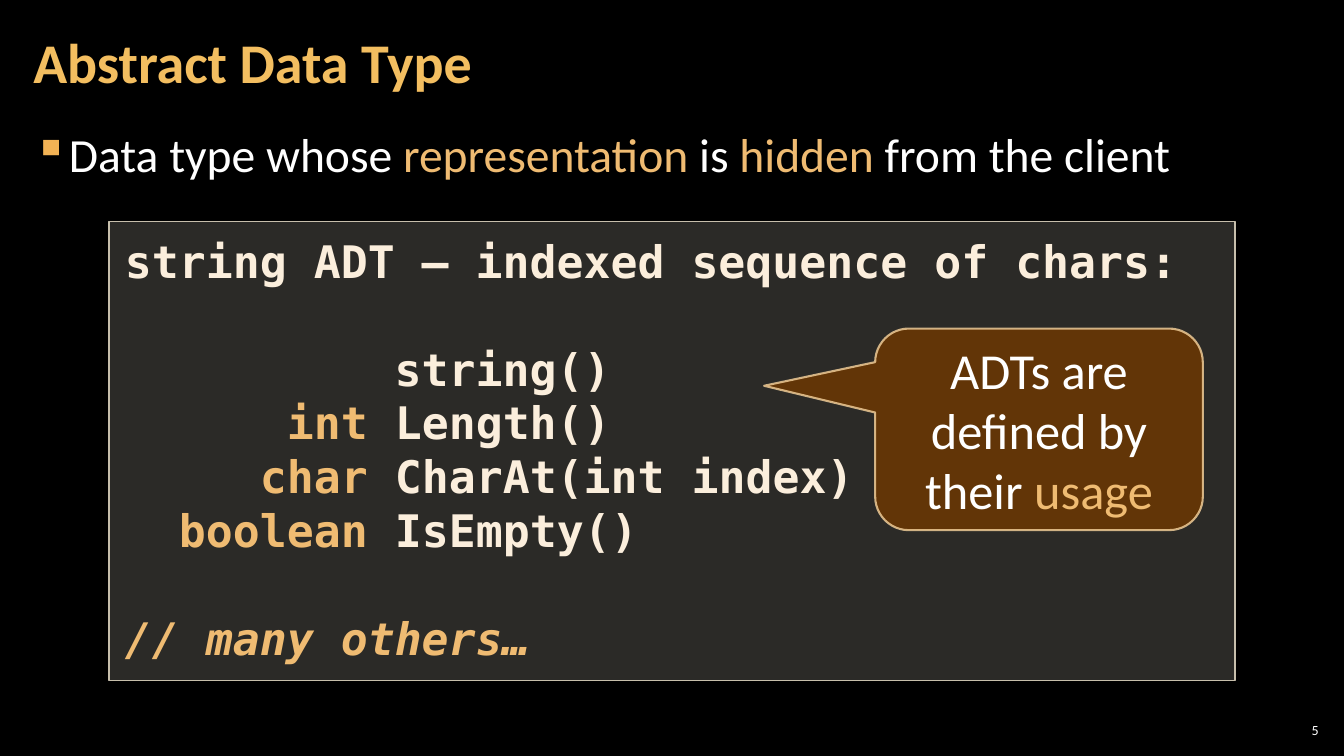
from lxml import etree
from pptx import Presentation
from pptx.dml.color import RGBColor
from pptx.enum import shapes, text
from pptx.oxml.ns import qn
from pptx.util import Inches, Pt

COLORS = {
    "background": "000000", "title": "F3BE60", "body": "FFFFFF",
    "accent": "EFBB72", "bullet": "F2B254", "code": "FBEEDC",
    "panel": "D9D5C7", "panel_line": "C7BFAC",
    "callout": "663606", "callout_line": "F8D49E",
}
BODY_FONT, CODE_FONT = "Calibri", "DejaVu Sans Mono"
CODE_SIZE = 32
CODE_LINE = Pt(38.4)
CHARACTER = Pt(CODE_SIZE * 0.602)
NAME_COLUMN = 10  # characters before each method name

TITLE = "Abstract Data Type"
STATEMENT = [("Data type whose ", "body"), ("representation", "accent"),
             (" is ", "body"), ("hidden", "accent"),
             (" from the client", "body")]
CODE_HEADING = "string ADT – indexed sequence of chars:"
METHODS = [("", "string()"), ("int", "Length()"),
           ("char", "CharAt(int index)"), ("boolean", "IsEmpty()")]
CODE_COMMENT = "// many others…"
CALLOUT = [("ADTs are defined by their ", "body"), ("usage", "accent")]
CALLOUT_ADJUSTMENTS = (-0.839, -0.216, 0.167)
PAGE_NUMBER = "5"


def color(name):
    return RGBColor.from_string(COLORS[name])


def box(left, top, width, height):
    return [Inches(value) for value in (left, top, width, height)]


def set_frame(shape, left, top, anchor=text.MSO_ANCHOR.TOP):
    """Wrap the text and set the side and vertical insets in inches."""
    settings = {
        "word_wrap": True, "vertical_anchor": anchor,
        "margin_left": Inches(left), "margin_right": Inches(left),
        "margin_top": Inches(top), "margin_bottom": Inches(top),
    }
    for name, value in settings.items():
        setattr(shape.text_frame, name, value)
    return shape.text_frame


def write(paragraph, runs, size, font=BODY_FONT, paragraph_format=None,
          **font_format):
    """Add (words, colour name) runs and format the paragraph."""
    settings = {"alignment": text.PP_ALIGN.LEFT, **(paragraph_format or {})}
    for name, value in settings.items():
        setattr(paragraph, name, value)
    for words, color_name in runs:
        run = paragraph.add_run()
        run.text = words
        run.font.color.rgb = color(color_name)
        for name, value in {"size": Pt(size), "name": font, **font_format}.items():
            setattr(run.font, name, value)


def set_alpha(fill, percent):
    """Make a solid fill partly transparent."""
    fill_color = fill._xPr.find(qn("a:solidFill"))[0]
    etree.SubElement(fill_color, qn("a:alpha"), val=str(percent * 1000))


def add_panel(slide, kind, place, fill, fill_alpha, line, line_width):
    shape = slide.shapes.add_shape(kind, *box(*place))
    shape.shadow.inherit = False
    shape.fill.solid()
    shape.fill.fore_color.rgb = color(fill)
    set_alpha(shape.fill, fill_alpha)
    shape.line.color.rgb = color(line)
    shape.line.width = Pt(line_width)
    return shape


def add_title(slide):
    title = slide.shapes.title
    title.left, title.top, title.width, title.height = box(0.21, 0.04, 10.47, 1.21)
    frame = set_frame(title, 0.12, 0.04, text.MSO_ANCHOR.MIDDLE)
    write(frame.paragraphs[0], [(TITLE, "title")], 40, bold=True,
          paragraph_format={"line_spacing": 0.9})


def add_statement(slide):
    shape = slide.shapes.add_textbox(*box(0.21, 1.17, 12.91, 0.8))
    paragraph = set_frame(shape, 0.12, 0.04).paragraphs[0]
    write(paragraph, STATEMENT, 34, paragraph_format={
        "line_spacing": 1.05, "space_before": Pt(6), "space_after": Pt(6)})
    properties = paragraph._p.get_or_add_pPr()
    properties.set("marL", str(Inches(0.33)))
    properties.set("indent", str(Inches(-0.33)))
    bullet_color = etree.SubElement(properties, qn("a:buClr"))
    etree.SubElement(bullet_color, qn("a:srgbClr"), val=COLORS["bullet"])
    etree.SubElement(properties, qn("a:buChar"), char="▪")


def add_code(slide):
    panel = add_panel(slide, shapes.MSO_SHAPE.RECTANGLE, (1.08, 2.2, 11.17, 4.55),
                      "panel", 20, "panel_line", 1)
    frame = set_frame(panel, 0.16, 0.12)

    # Each line: runs, indent in characters, gap above, italic
    lines = [([(CODE_HEADING, "code")], 0, False, False)]
    for index, (kind, method) in enumerate(METHODS):
        runs = [(kind, "accent"), (" " + method, "code")] if kind else [(method, "code")]
        indent = NAME_COLUMN - len(kind + " ") if kind else NAME_COLUMN
        lines.append((runs, indent, index == 0, False))
    lines.append(([(CODE_COMMENT, "accent")], 0, True, True))

    for index, (runs, indent, gap, italic) in enumerate(lines):
        paragraph = frame.add_paragraph() if index else frame.paragraphs[0]
        write(paragraph, runs, CODE_SIZE, CODE_FONT, bold=True, italic=italic,
              paragraph_format={"line_spacing": CODE_LINE,
                                "space_before": CODE_LINE if gap else Pt(0)})
        paragraph._p.get_or_add_pPr().set("marL", str(int(indent * CHARACTER)))


def add_callout(slide):
    callout = add_panel(slide, shapes.MSO_SHAPE.ROUNDED_RECTANGULAR_CALLOUT,
                        (8.68, 3.26, 3.25, 2), "callout", 95, "callout_line", 1.5)
    set_alpha(callout.line.fill, 80)
    for index, value in enumerate(CALLOUT_ADJUSTMENTS):
        callout.adjustments[index] = value
    frame = set_frame(callout, 0.1, 0.05, text.MSO_ANCHOR.MIDDLE)
    write(frame.paragraphs[0], CALLOUT, 36,
          paragraph_format={"alignment": text.PP_ALIGN.CENTER})


def add_page_number(slide):
    shape = slide.shapes.add_textbox(*box(12.65, 7.14, 0.47, 0.21))
    frame = set_frame(shape, 0.04, 0.04, text.MSO_ANCHOR.MIDDLE)
    write(frame.paragraphs[0], [(PAGE_NUMBER, "body")], 10,
          paragraph_format={"alignment": text.PP_ALIGN.RIGHT})


def main():
    presentation = Presentation()
    presentation.slide_width, presentation.slide_height = Inches(13.33), Inches(7.5)
    slide = presentation.slides.add_slide(presentation.slide_layouts[5])
    slide.background.fill.solid()
    slide.background.fill.fore_color.rgb = color("background")
    for add_part in (add_page_number, add_statement, add_title, add_code, add_callout):
        add_part(slide)
    presentation.save("out.pptx")


if __name__ == "__main__":
    main()
